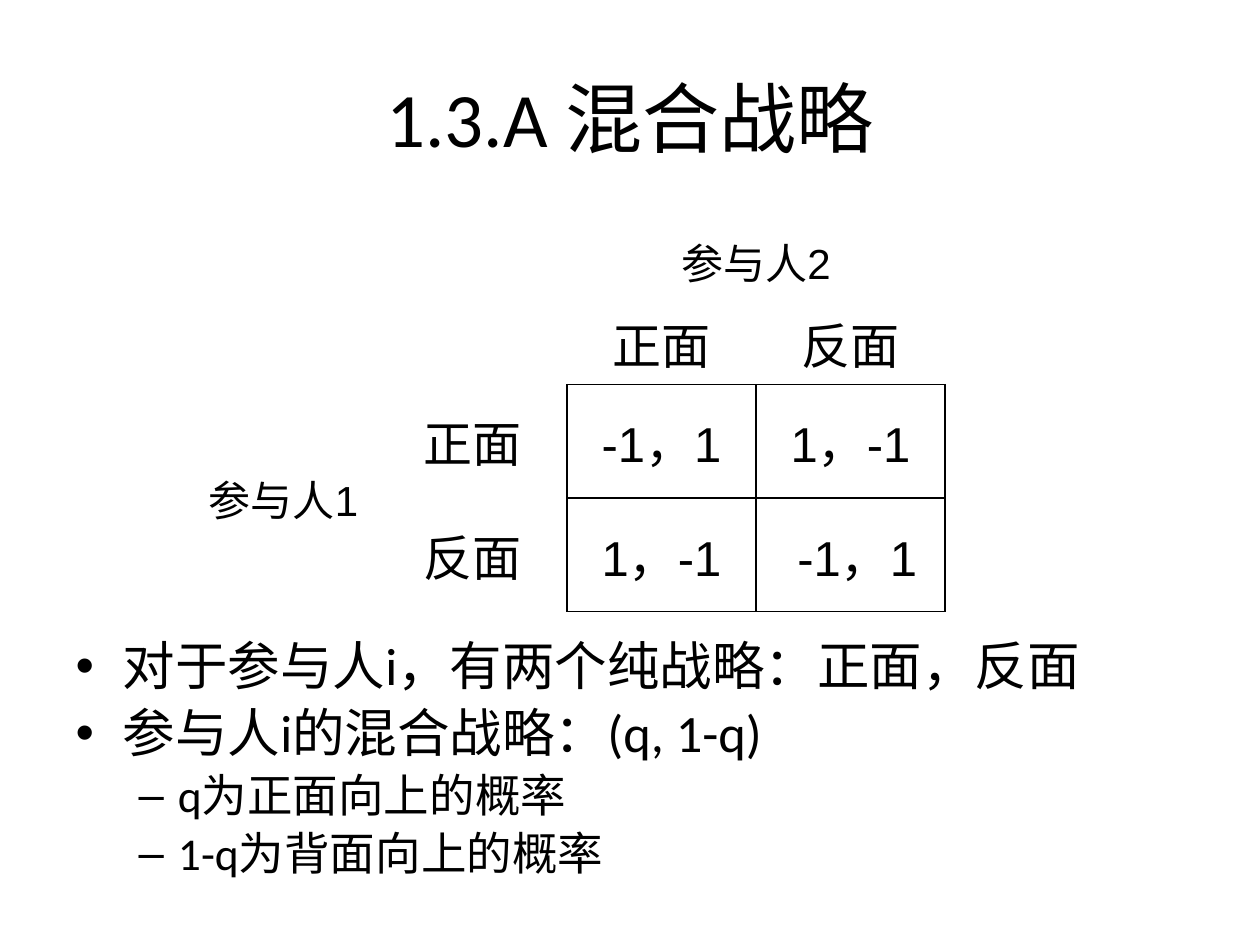
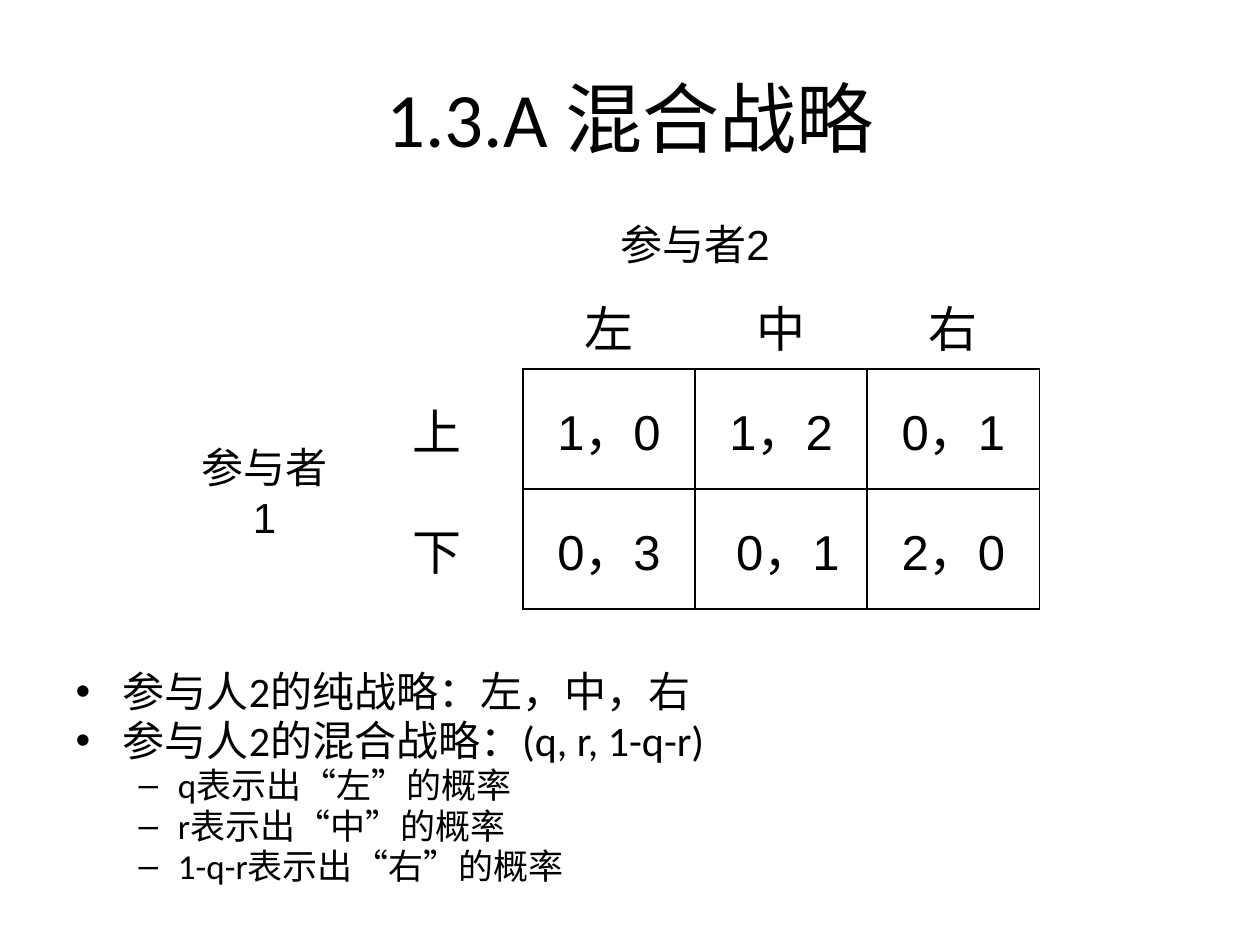
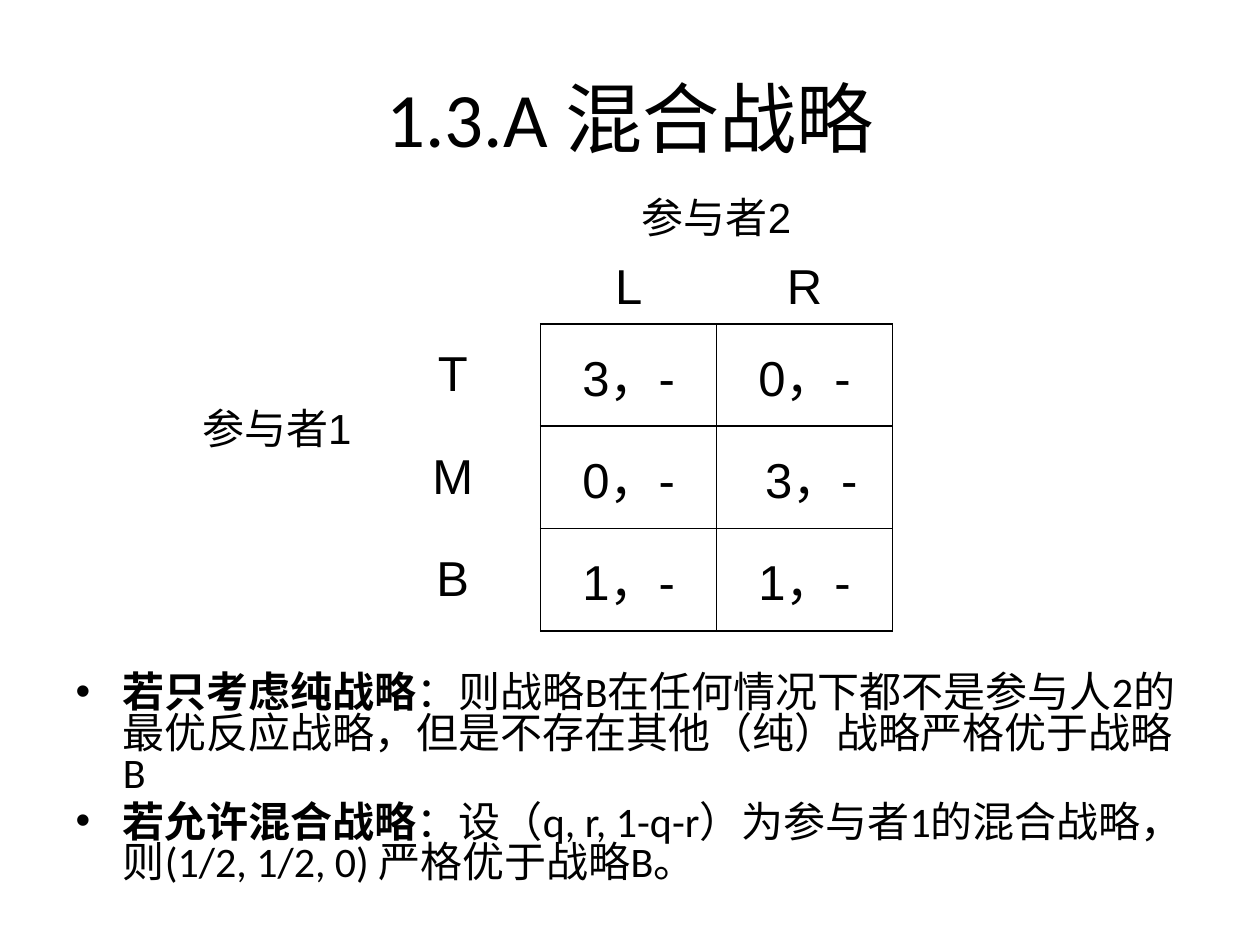
from lxml.etree import SubElement
from pptx import Presentation
from pptx.dml.color import RGBColor
from pptx.enum.lang import MSO_LANGUAGE_ID
from pptx.enum.text import MSO_ANCHOR, MSO_AUTO_SIZE, PP_ALIGN
from pptx.oxml.ns import qn
from pptx.util import Pt

COLOURS = {"text": "000000", "grid": "000000"}
TITLE = "1.3.A 混合战略"
NO_STYLE = "{2D5ABB26-0587-4C30-8999-92F81FD0307C}"
LEFT, WIDTH, BODY_BOTTOM = 36, 648, 522

# Each game: its place, players, strategies and payoffs, then the list below it
GAMES = [
    {
        "place": (108, 126), "column": 108, "heights": (46.1, 64.8),
        "player": "参与人", "across": ["正面", "反面"], "down": ["正面", "反面"],
        "payoffs": [["-1，1", "1，-1"], ["1，-1", " -1，1"]],
        "body_top": 362, "sizes": (30, 26), "line_spacing": 0.9,
        "points": [
            (0, "", "对于参与人i，有两个纯战略：正面，反面"),
            (0, "", "参与人i的混合战略：(q, 1-q)"),
            (1, "", "q为正面向上的概率"),
            (1, "", "1-q为背面向上的概率"),
        ],
    },
    {
        "place": (102, 114), "column": 98.4, "heights": (48.4, 68.6),
        "player": "参与者", "across": ["左", "中", "右"], "down": ["上", "下"],
        "payoffs": [["1，0", "1，2", "0，1"], ["0，3", " 0，1", "2，0"]],
        "body_top": 382.5, "sizes": (24, 20), "line_spacing": 0.8,
        "points": [
            (0, "", "参与人2的纯战略：左，中，右"),
            (0, "", "参与人2的混合战略：(q, r, 1-q-r)"),
            (1, "", "q表示出“左”的概率"),
            (1, "", "r表示出“中”的概率"),
            (1, "", "1-q-r表示出“右”的概率"),
        ],
    },
    {
        "place": (108, 102), "column": 100.5, "heights": (41, 58.5),
        "player": "参与者", "across": ["L", "R"], "down": ["T", "M", "B"],
        "payoffs": [["3，-", "0，-"], ["0，-", " 3，-"], ["1，-", "1，-"]],
        "body_top": 382.5, "sizes": (24, 20), "line_spacing": 0.8,
        "points": [
            (0, "若只考虑纯战略", "：则战略B在任何情况下都不是参与人2的最优反应战略，"
                "但是不存在其他（纯）战略严格优于战略B"),
            (0, "若允许混合战略", "：设（q, r, 1-q-r）为参与者1的混合战略，"
                "则(1/2, 1/2, 0) 严格优于战略B。"),
        ],
    },
]


def set_all(target, **values):
    for name, value in values.items():
        setattr(target, name, value)


def add_span(para, text, size, font="Calibri", bold=False):
    span = para.add_run()
    span.text = text
    set_all(span.font, size=Pt(size), name=font, bold=bold,
            language_id=MSO_LANGUAGE_ID.SIMPLIFIED_CHINESE)
    span.font.color.rgb = RGBColor.from_string(COLOURS["text"])


def place_box(box, top, height):
    set_all(box, left=Pt(LEFT), top=Pt(top), width=Pt(WIDTH), height=Pt(height))
    set_all(box.text_frame, word_wrap=True, auto_size=MSO_AUTO_SIZE.NONE)


def add_title(page):
    box = page.shapes.title
    place_box(box, 21.6, 90)
    box.text_frame.vertical_anchor = MSO_ANCHOR.MIDDLE
    para = box.text_frame.paragraphs[0]
    para.alignment = PP_ALIGN.CENTER
    add_span(para, TITLE, 44)


def add_points(page, game):
    box = page.placeholders[1]
    place_box(box, game["body_top"], BODY_BOTTOM - game["body_top"])
    frame = box.text_frame
    for index, (level, lead, text) in enumerate(game["points"]):
        para = frame.add_paragraph() if index else frame.paragraphs[0]
        size = game["sizes"][level]
        set_all(para, level=level, line_spacing=game["line_spacing"],
                space_before=Pt(size * 0.2 if index else 0))
        if lead:
            add_span(para, lead, size, bold=True)
        add_span(para, text, size)


def fill_cell(cell, text, size=28):
    cell.vertical_anchor = MSO_ANCHOR.MIDDLE
    para = cell.text_frame.paragraphs[0]
    para.alignment = PP_ALIGN.CENTER
    add_span(para, text, size, "Arial")


def add_borders(cell):
    properties = cell._tc.get_or_add_tcPr()
    for side in ("a:lnL", "a:lnR", "a:lnT", "a:lnB"):
        line = SubElement(properties, qn(side), w=str(Pt(1)))
        fill = SubElement(line, qn("a:solidFill"))
        SubElement(fill, qn("a:srgbClr"), val=COLOURS["grid"])


def add_game(page, game):
    rows, columns = len(game["down"]) + 2, len(game["across"]) + 2
    header, body = game["heights"]
    heights = [header] * 2 + [body] * (rows - 2)
    left, top = game["place"]
    frame = page.shapes.add_table(rows, columns, Pt(left), Pt(top),
                                  Pt(game["column"] * columns), Pt(sum(heights)))
    table = frame.table
    set_all(table, first_row=False, horz_banding=False)
    table._tbl.tblPr.find(qn("a:tableStyleId")).text = NO_STYLE
    for column in table.columns:
        column.width = Pt(game["column"])
    for row, height in zip(table.rows, heights):
        row.height = Pt(height)

    # Players
    table.cell(0, 2).merge(table.cell(0, 3))
    table.cell(2, 0).merge(table.cell(3, 0))
    fill_cell(table.cell(0, 2), game["player"] + "2", 24)
    fill_cell(table.cell(2, 0), game["player"] + "1", 24)

    # Strategies
    for column, name in enumerate(game["across"], 2):
        fill_cell(table.cell(1, column), name)
    for row, name in enumerate(game["down"], 2):
        fill_cell(table.cell(row, 1), name)

    # Payoffs
    for row, payoffs in enumerate(game["payoffs"], 2):
        for column, payoff in enumerate(payoffs, 2):
            fill_cell(table.cell(row, column), payoff)
            add_borders(table.cell(row, column))
    for cell in table.iter_cells():
        cell.fill.background()


def main():
    deck = Presentation()
    set_all(deck, slide_width=Pt(720), slide_height=Pt(540))
    for game in GAMES:
        page = deck.slides.add_slide(deck.slide_layouts[1])
        add_title(page)
        add_points(page, game)
        add_game(page, game)
    deck.save("out.pptx")


if __name__ == "__main__":
    main()
